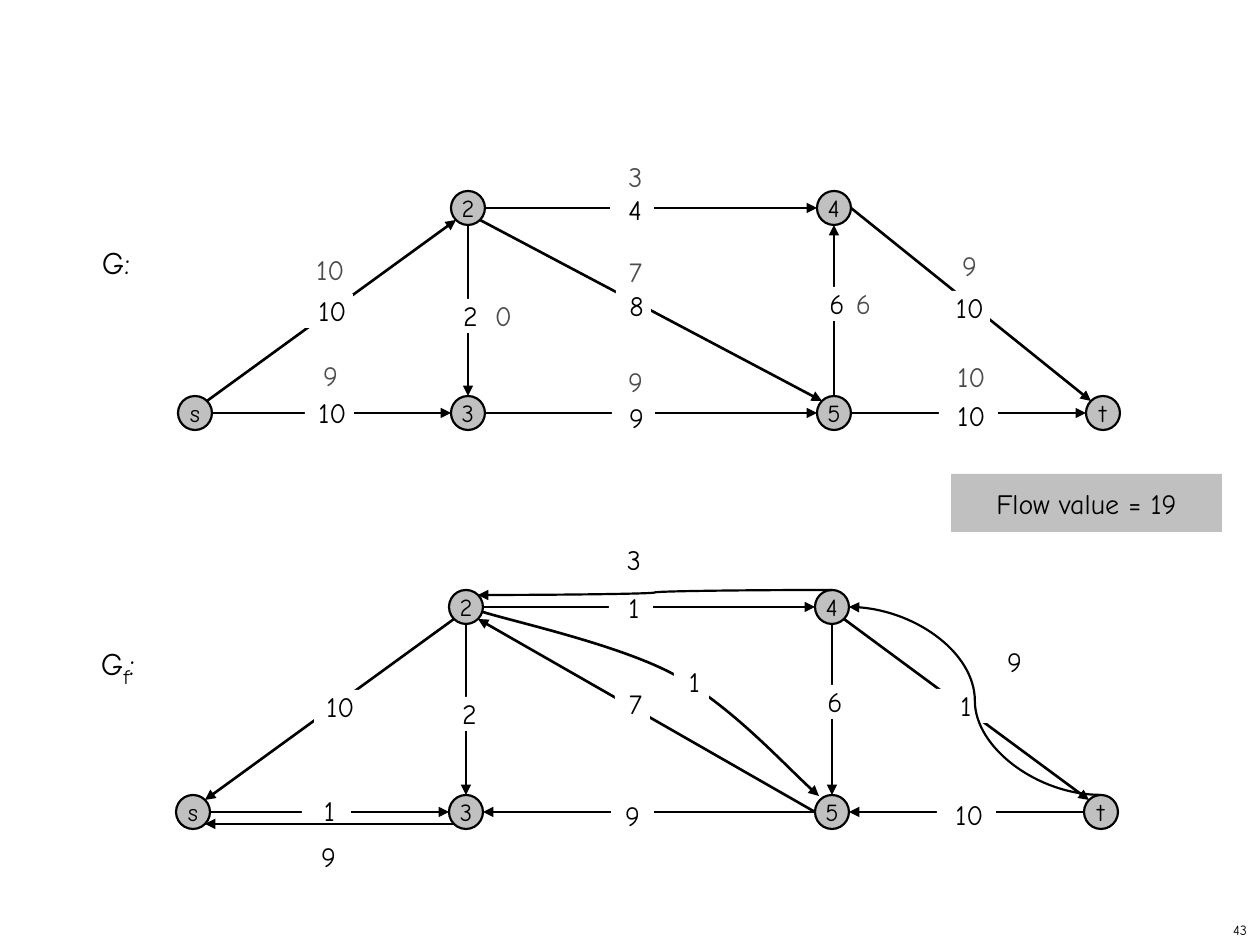
from lxml import etree
from pptx import Presentation
from pptx.dml.color import RGBColor
from pptx.enum.shapes import MSO_CONNECTOR, MSO_SHAPE
from pptx.enum.text import MSO_ANCHOR, PP_ALIGN
from pptx.oxml.ns import qn
from pptx.util import Pt

RECT, OVAL = MSO_SHAPE.RECTANGLE, MSO_SHAPE.OVAL
LINE, CURVE = MSO_CONNECTOR.STRAIGHT, MSO_CONNECTOR.CURVE
TOP, MID = MSO_ANCHOR.TOP, MSO_ANCHOR.MIDDLE
LEFT, CENTER, RIGHT = PP_ALIGN.LEFT, PP_ALIGN.CENTER, PP_ALIGN.RIGHT

PX = 914400 // 126
FONT = "Comic Neue"
COLORS = {"ink": "000000", "flow": "4D4D4D", "gray": "C0C0C0", "paper": "FFFFFF"}

# Node centres in G; the residual graph sits at a fixed shift below
NODES = {"s": (195, 413), "2": (468, 208), "3": (468, 413),
         "4": (834, 208), "5": (834, 413), "t": (1103, 413)}
SHIFT = (-2, 399)
RAD, DIAG = 17, 12
PORTS = {"N": (0, -RAD), "S": (0, RAD), "W": (-RAD, 0), "E": (RAD, 0),
         "NW": (-DIAG, -DIAG), "NE": (DIAG, -DIAG),
         "SW": (-DIAG, DIAG), "SE": (DIAG, DIAG)}

# Edges: from node, port, to node, port
EDGES = ["s NE 2 SW", "s E 3 W", "3 E 5 W", "2 E 4 W", "2 S 3 N",
         "5 N 4 S", "2 SE 5 NW", "4 E t NW", "5 E t W"]
RES_EDGES = ["s E 3 W", "5 W 3 E", "2 E 4 W", "2 S 3 N", "4 S 5 N",
             "4 SE t NW", "t W 5 E", "5 W 2 SE", "2 SW s NE"]
RES_CURVES = ["3 SW s SE", "t N 4 E", "4 N 2 NE"]
# Bezier points of the curved edge from 2 to 5
BEND = [(483, 612), (515, 622), (620, 645), (675, 675),
        (732, 707), (790, 771), (819, 796)]

# Labels on edges: text, left, top, width, left inset
CAPS = [("10", 305, 396, 49, 6), ("10", 294, 294, 59, 18), ("9", 612, 401, 43, 6),
        ("8", 616, 289, 35, 6), ("4", 610, 193, 44, 6), ("10", 939, 399, 59, 6),
        ("10", 932, 291, 58, 18), ("6", 805, 287, 58, 6), ("2", 438, 299, 59, 6)]
FLOWS = [("10", 307, 253), ("3", 612, 160), ("9", 946, 249), ("9", 307, 359),
         ("9", 612, 365), ("10", 948, 360), ("7", 612, 255), ("0", 480, 299),
         ("6", 840, 287)]
RES_CAPS = [("1", 302, 794, 49, 6), ("9", 611, 799, 43, 0), ("1", 609, 591, 44, 6),
            ("1", 931, 689, 58, 12), ("6", 803, 685, 58, 6), ("2", 437, 697, 59, 6),
            ("10", 937, 798, 59, 6), ("7", 615, 687, 35, 6), ("10", 314, 690, 47, 6)]
CURVE_CAPS = [("9", 301, 840, 49, 6), ("9", 997, 645, 35, 0),
              ("3", 609, 543, 44, 6), ("1", 674, 665, 35, 6)]

prs = Presentation()
prs.slide_width, prs.slide_height = 1260 * PX, 945 * PX
slide = prs.slides.add_slide(prs.slide_layouts[6])
shapes = slide.shapes


def rgb(name):
    return RGBColor.from_string(COLORS[name])


def put(text, box, size=16, color="ink", fill=None, line=None, kind=RECT,
        align=CENTER, anchor=TOP, pad=(0, 0), wrap=True):
    """Place text in a box; the part between underscores is a subscript."""
    place = [n * PX for n in box]
    if fill:
        shape = shapes.add_shape(kind, *place)
        shape.shadow.inherit = False
        shape.fill.solid()
        shape.fill.fore_color.rgb = rgb(fill)
        if line:
            shape.line.color.rgb, shape.line.width = rgb("ink"), Pt(line)
        else:
            shape.line.fill.background()
    else:
        shape = shapes.add_textbox(*place)
    frame = shape.text_frame
    frame.word_wrap, frame.vertical_anchor = wrap, anchor
    frame.margin_left, frame.margin_right = (n * PX for n in pad)
    frame.margin_top = frame.margin_bottom = 0
    para = frame.paragraphs[0]
    para.alignment = align
    for i, part in enumerate(text.split("_")):
        run = para.add_run()
        run.text = part
        run.font.name, run.font.size = FONT, Pt(size)
        run.font.color.rgb = rgb(color)
        if i % 2:
            run.font.size = Pt(size + 2)
            run.font._element.set("baseline", "-25000")


def arrow(shape, width):
    """Style a line and give its end a triangle."""
    shape.line.color.rgb, shape.line.width = rgb("ink"), Pt(width)
    etree.SubElement(shape.line._get_or_add_ln(), qn("a:tailEnd"), type="triangle")


def link(edge, shift, kind=LINE, width=1.5):
    a, out, b, into = edge.split()
    ends = [(NODES[n][i] + PORTS[p][i] + shift[i]) * PX
            for n, p in ((a, out), (b, into)) for i in (0, 1)]
    wire = shapes.add_connector(kind, *ends)
    arrow(wire, width)
    etree.SubElement(wire._element.spPr, qn("a:effectLst"))


def bend(points):
    """Draw an open chain of cubic curves."""
    pts = [(x * PX, y * PX) for x, y in points]
    build = shapes.build_freeform(*pts[0])
    build.add_line_segments(pts[1:], close=False)
    shape = build.convert_to_shape()
    shape.shadow.inherit = False
    shape.fill.background()
    arrow(shape, 1.5)
    steps = list(shape._element.iter(qn("a:lnTo")))
    for i in range(0, len(steps), 3):
        cubic = etree.Element(qn("a:cubicBezTo"))
        steps[i].addprevious(cubic)
        for step in steps[i:i + 3]:
            cubic.append(step[0])
            step.getparent().remove(step)


def graph(edges, caps, shift=(0, 0)):
    for name, (x, y) in NODES.items():
        put(name, (x + shift[0] - RAD, y + shift[1] - RAD, 2 * RAD, 2 * RAD),
            size=14, fill="gray", line=1.25, kind=OVAL, anchor=MID, wrap=False)
    for edge in edges:
        link(edge, shift)
    label(caps)


def label(caps):
    for text, x, y, w, pad in caps:
        put(text, (x, y, w, 34), fill="paper", pad=(pad, 0))


put("43", (998, 914, 262, 31), size=8, align=RIGHT, anchor=MID, pad=(13, 13))
graph(EDGES, CAPS)
for text, x, y in FLOWS:
    put(text, (x, y, 47, 24), color="flow")
put("G:", (93, 243, 60, 38), size=18, fill="paper", align=LEFT, pad=(9, 0))

graph(RES_EDGES, RES_CAPS, SHIFT)
put("G_f_:", (92, 641, 60, 48), size=18, fill="paper", align=LEFT, pad=(9, 0))
for edge in RES_CURVES:
    link(edge, SHIFT, CURVE, 1.25)
bend(BEND)
label(CURVE_CAPS)
put("Flow value = 19", (951, 474, 271, 58), fill="gray", anchor=MID, pad=(13, 13))

prs.save("out.pptx")
